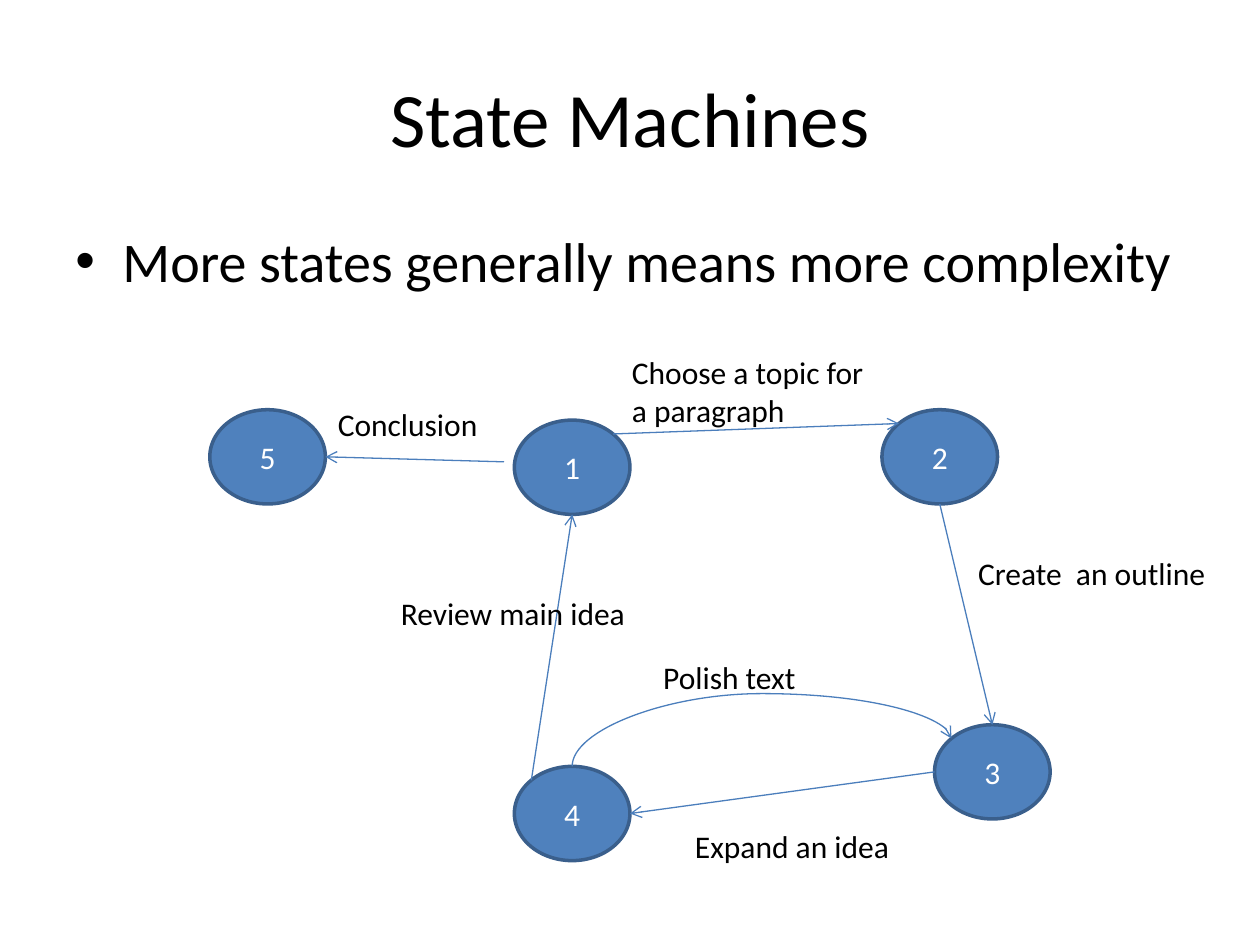
from math import cos, radians, sin

from lxml import etree
from pptx import Presentation
from pptx.dml.color import RGBColor
from pptx.enum.shapes import MSO_CONNECTOR, MSO_SHAPE
from pptx.enum.text import MSO_ANCHOR, MSO_AUTO_SIZE, PP_ALIGN
from pptx.oxml.ns import qn
from pptx.util import Cm, Pt

STRAIGHT, CURVE = MSO_CONNECTOR.STRAIGHT, MSO_CONNECTOR.CURVE
OVAL = MSO_SHAPE.OVAL
MIDDLE, TOP = MSO_ANCHOR.MIDDLE, MSO_ANCHOR.TOP
CENTER, LEFT = PP_ALIGN.CENTER, PP_ALIGN.LEFT
GROW = MSO_AUTO_SIZE.SHAPE_TO_FIT_TEXT

BLACK = RGBColor(0x00, 0x00, 0x00)
WHITE = RGBColor(0xFF, 0xFF, 0xFF)
STATE_FILL = RGBColor(0x4F, 0x81, 0xBD)
STATE_LINE = RGBColor(0x3A, 0x5F, 0x8C)
ARROW_LINE = RGBColor(0x4B, 0x7E, 0xBC)

# State circles: left and top in cm
STATE_W, STATE_H = 2.33, 1.9
STATES = {
    "1": (10.37, 8.47),
    "2": (17.78, 8.26),
    "3": (18.84, 14.61),
    "4": (10.37, 15.45),
    "5": (4.23, 8.26),
}

# Directions on a state's rim, in degrees clockwise from the right
RIGHT_SIDE, BOTTOM, LEFT_SIDE, UPPER_LEFT, TOP_SIDE, UPPER_RIGHT = (
    0, 90, 180, 225, 270, 315)
TRANSITIONS = [
    (("2", BOTTOM), ("3", TOP_SIDE)),
    (("3", LEFT_SIDE), ("4", RIGHT_SIDE)),
    (("4", UPPER_LEFT), ("1", BOTTOM)),
    (("1", UPPER_RIGHT), ("2", UPPER_LEFT)),
]
CONCLUSION_START = (10.16, 9.31)

# Transition labels: text, left, top, height in cm
LABEL_W = 5.5
LABELS = [
    ("Choose a topic for a paragraph", 12.49, 6.99, 1.8),
    ("Create  an outline", 19.47, 11.05, 1.03),
    ("Expand an idea", 13.76, 16.54, 1.03),
    ("Polish text", 13.12, 13.15, 1.03),
    ("Review main idea", 7.83, 11.85, 1.03),
    ("Conclusion", 6.56, 8.04, 1.03),
]


def write(sp, text, size, color=BLACK, align=LEFT, anchor=TOP):
    """Put one formatted paragraph in a shape and return it."""
    tf = sp.text_frame
    tf.word_wrap = True
    tf.vertical_anchor = anchor
    p = tf.paragraphs[0]
    p.alignment = align
    r = p.add_run()
    r.text = text
    for name, value in {"size": Pt(size), "name": "Calibri"}.items():
        setattr(r.font, name, value)
    r.font.color.rgb = color
    return p


def add_title(s, text):
    sp = s.shapes.title
    box = {"left": 1.27, "top": 0.76, "width": 22.86, "height": 3.18}
    for name, value in box.items():
        setattr(sp, name, Cm(value))
    write(sp, text, 44, align=CENTER, anchor=MIDDLE)


def add_bullet(s, text):
    sp = s.shapes.add_textbox(Cm(1.27), Cm(4.45), Cm(23.5), Cm(1.7))
    p = write(sp, text, 32)
    p.space_before = Pt(6.4)
    pPr = p._p.get_or_add_pPr()
    pPr.set("marL", str(Cm(0.95)))
    pPr.set("indent", str(Cm(-0.95)))
    etree.SubElement(pPr, qn("a:buFont"), typeface="Arial")
    etree.SubElement(pPr, qn("a:buChar"), char="\u2022")


def add_state(s, name, left, top):
    sp = s.shapes.add_shape(OVAL, Cm(left), Cm(top), Cm(STATE_W), Cm(STATE_H))
    sp.shadow.inherit = False
    sp.fill.solid()
    sp.fill.fore_color.rgb = STATE_FILL
    sp.line.color.rgb = STATE_LINE
    sp.line.width = Pt(2)
    write(sp, name, 18, WHITE, CENTER, MIDDLE)


def add_label(s, text, left, top, height):
    sp = s.shapes.add_textbox(Cm(left), Cm(top), Cm(LABEL_W), Cm(height))
    write(sp, text, 18)
    sp.text_frame.auto_size = GROW


def rim(name, angle):
    """Point on the rim of a state."""
    left, top = STATES[name]
    a = radians(angle)
    return (left + STATE_W / 2 * (1 + cos(a)),
            top + STATE_H / 2 * (1 + sin(a)))


def add_arrow(s, start, end, kind=STRAIGHT):
    cxn = s.shapes.add_connector(kind, *(Cm(v) for v in (*start, *end)))
    cxn.line.color.rgb = ARROW_LINE
    cxn.line.width = Pt(0.75)
    etree.SubElement(cxn.line._get_or_add_ln(), qn("a:tailEnd"), type="arrow")
    etree.SubElement(cxn._element.spPr, qn("a:effectLst"))
    return cxn


def add_arc(s, start, end, bend):
    """Curved arrow that leaves upwards: a connector turned by 90 degrees."""
    (x1, y1), (x2, y2) = start, end
    cx, cy = (x1 + x2) / 2, (y1 + y2) / 2
    dx, dy = (x2 - x1) / 2, (y1 - y2) / 2
    cxn = add_arrow(s, (cx + dy, cy + dx), (cx - dy, cy - dx), CURVE)
    spPr = cxn._element.spPr
    spPr.find(qn("a:xfrm")).set("rot", str(90 * 60000))
    geom = spPr.find(qn("a:prstGeom"))
    guides = geom.find(qn("a:avLst"))
    if guides is None:
        guides = etree.SubElement(geom, qn("a:avLst"))
    etree.SubElement(guides, qn("a:gd"), name="adj1",
                     fmla=f"val {round(bend * 100000)}")


def main():
    prs = Presentation()
    prs.slide_width, prs.slide_height = Cm(25.4), Cm(19.05)
    s = prs.slides.add_slide(prs.slide_layouts[5])

    # Heading
    add_title(s, "State Machines")
    add_bullet(s, "More states generally means more complexity")

    # States
    for name, (left, top) in STATES.items():
        add_state(s, name, left, top)

    # Transitions
    for start, end in TRANSITIONS:
        add_arrow(s, rim(*start), rim(*end))
    add_arrow(s, CONCLUSION_START, rim("5", RIGHT_SIDE))
    add_arc(s, rim("4", TOP_SIDE), rim("3", UPPER_LEFT), 2.61)

    # Transition labels
    for label in LABELS:
        add_label(s, *label)

    prs.save("out.pptx")


main()
